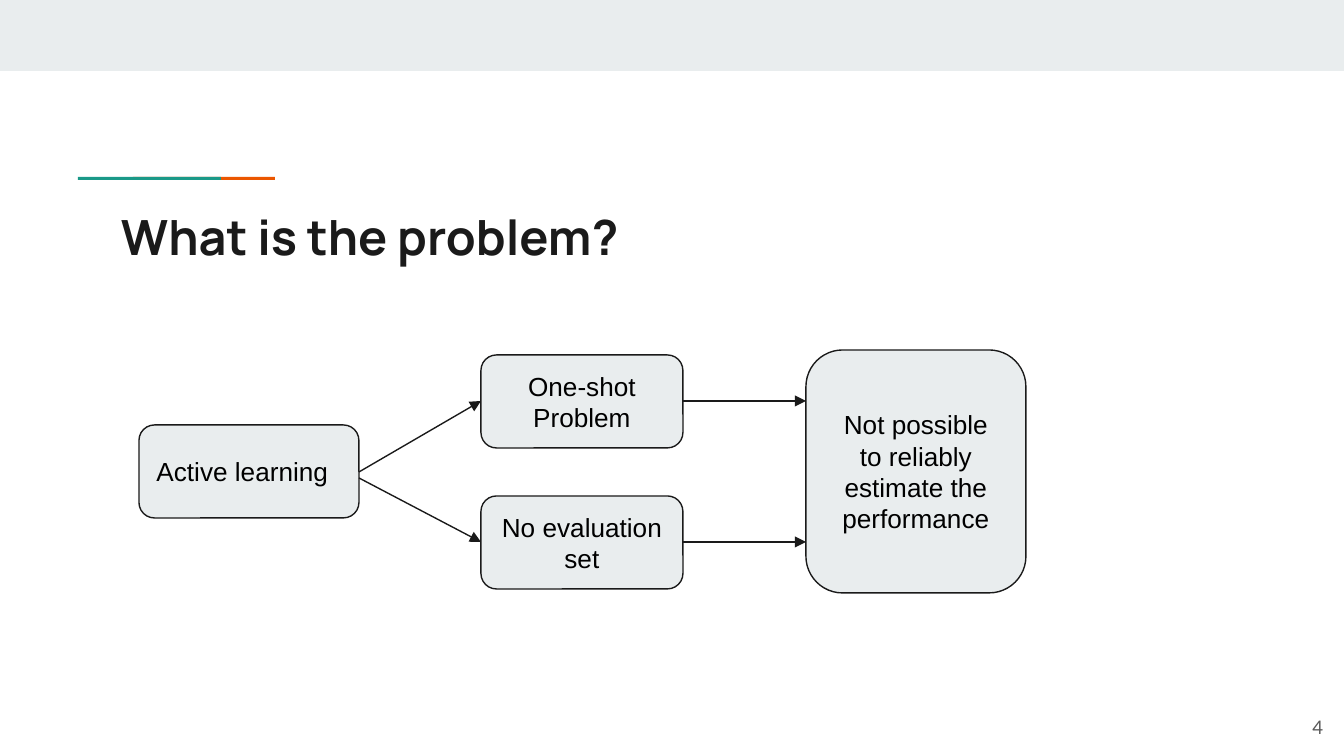
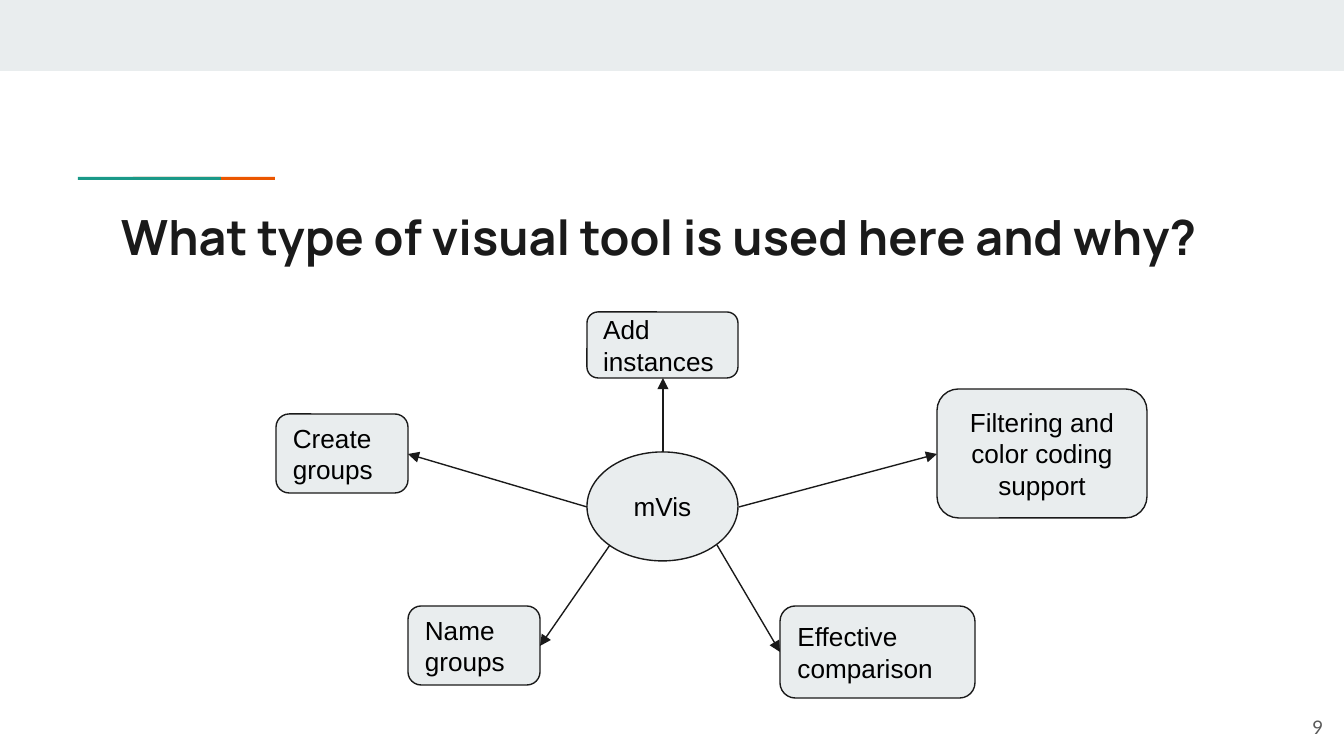
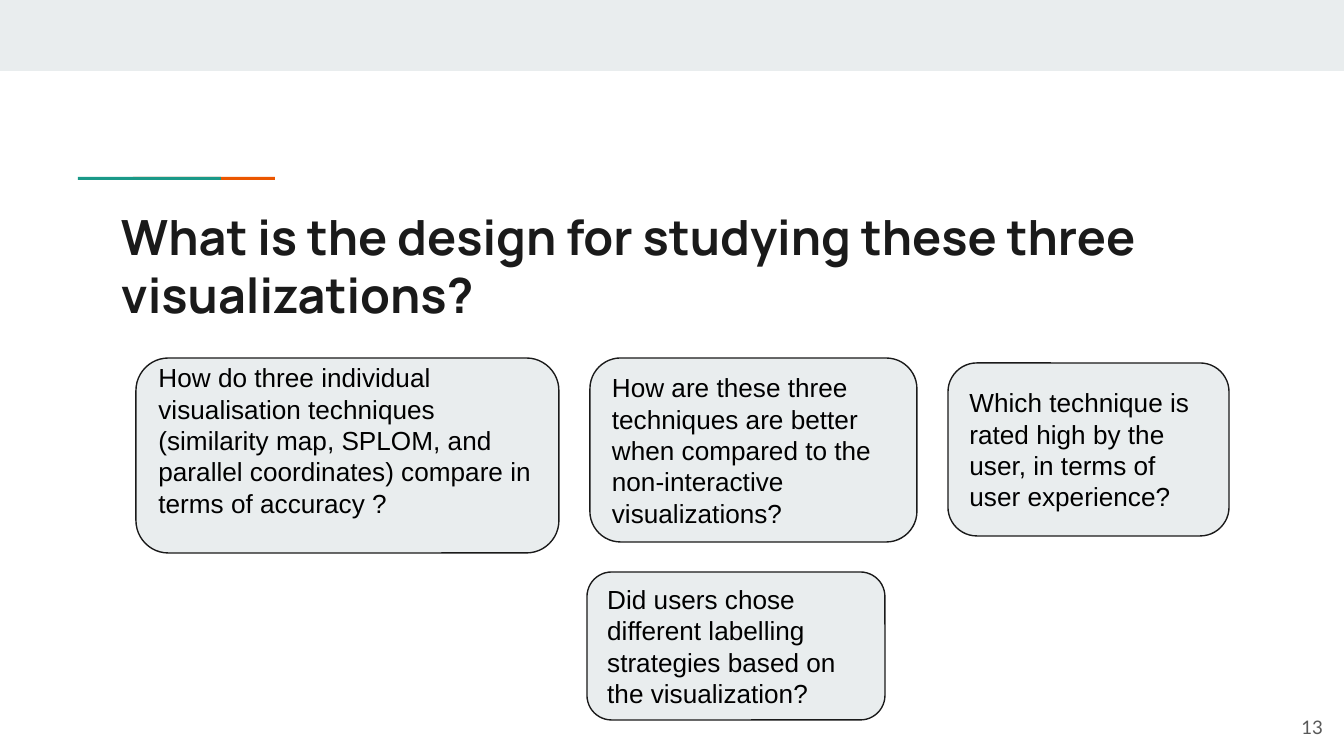
from lxml import etree
from pptx import Presentation
from pptx.dml.color import RGBColor
from pptx.enum import shapes, text
from pptx.oxml import ns
from pptx.util import Pt

PX = 9144000 / 1344
MIST = RGBColor(0xE9, 0xED, 0xEE)
INK = RGBColor(0x1A, 0x1A, 0x1A)
BLACK = RGBColor(0, 0, 0)
GREY = RGBColor(0x59, 0x59, 0x59)
ORANGE = RGBColor(0xEB, 0x56, 0x00)
TEAL = RGBColor(0x1A, 0x99, 0x88)
RECT = shapes.MSO_SHAPE.RECTANGLE
ROUND = shapes.MSO_SHAPE.ROUNDED_RECTANGLE
OVAL = shapes.MSO_SHAPE.OVAL
LEFT, CENTER, RIGHT = text.PP_ALIGN.LEFT, text.PP_ALIGN.CENTER, text.PP_ALIGN.RIGHT
TOP, MIDDLE = text.MSO_ANCHOR.TOP, text.MSO_ANCHOR.MIDDLE
INSET = 13
BLANK_LINE = 31

SLIDES = [
    {
        "title": "What is the problem?",
        "number": "4",
        "nodes": [
            (ROUND, (139, 425, 220, 93), LEFT, "Active learning"),
            (ROUND, (481, 355, 202, 93), CENTER, "One-shot Problem"),
            (ROUND, (481, 496, 202, 93), CENTER, "No evaluation set"),
            (ROUND, (806, 350, 220, 243), CENTER,
             "Not possible to reliably estimate the performance"),
        ],
        "arrows": [
            (359, 472, 481, 401), (359, 478, 481, 542),
            (683, 401, 806, 401), (683, 542, 806, 542),
        ],
    },
    {
        "title": "What type of visual tool is used here and why?",
        "number": "9",
        "nodes": [
            (OVAL, (587, 452, 151, 109), CENTER, "mVis"),
            (ROUND, (276, 414, 132, 79), LEFT, "Create groups"),
            (ROUND, (408, 606, 132, 79), LEFT, "Name groups"),
            (ROUND, (587, 312, 151, 66), LEFT, "Add instances"),
            (ROUND, (937, 389, 210, 129), CENTER, "Filtering and color coding support"),
            (ROUND, (780, 606, 195, 92), LEFT, "Effective comparison"),
        ],
        "arrows": [
            (663, 452, 663, 378), (739, 507, 937, 454), (587, 507, 408, 454),
            (610, 545, 540, 646), (717, 545, 780, 652),
        ],
    },
    {
        "title": "What is the design for studying these three visualizations?",
        "number": "13",
        "nodes": [
            (ROUND, (136, 358, 423, 195), LEFT,
             "How do three individual visualisation techniques (similarity map, SPLOM, "
             "and parallel coordinates) compare in terms of accuracy ?"),
            (ROUND, (590, 358, 327, 184), LEFT,
             "How are these three techniques are better when compared to the "
             "non-interactive visualizations?"),
            (ROUND, (948, 363, 281, 173), LEFT,
             "Which technique is rated high by the user, in terms of user experience?"),
            (ROUND, (587, 572, 298, 148), LEFT,
             "Did users chose different labelling strategies based on the visualization?"),
        ],
        "arrows": [],
    },
]


def add_panel(page, kind, area, fill, line=None):
    panel = page.shapes.add_shape(kind, *(round(n * PX) for n in area))
    panel.shadow.inherit = False
    panel.fill.solid()
    panel.fill.fore_color.rgb = fill
    if line is None:
        panel.line.fill.background()
    else:
        panel.line.color.rgb = line
        panel.line.width = Pt(0.75)
    return panel


def write(box, words, font, size, color, align, anchor, bold=False):
    frame = box.text_frame
    frame.word_wrap = True
    frame.vertical_anchor = anchor
    frame.margin_left = frame.margin_right = round(INSET * PX)
    frame.margin_top = frame.margin_bottom = round(INSET * PX)
    para = frame.paragraphs[0]
    para.alignment = align
    span = para.add_run()
    span.text = words
    span.font.name = font
    span.font.size = Pt(size)
    span.font.bold = bold
    span.font.color.rgb = color


deck = Presentation()
deck.slide_width = round(1344 * PX)
deck.slide_height = round(756 * PX)

for content in SLIDES:
    page = deck.slides.add_slide(deck.slide_layouts[6])
    add_panel(page, RECT, (0, 0, 1344, 71), MIST)
    add_panel(page, RECT, (133, 177, 142, 3), ORANGE)
    add_panel(page, RECT, (78, 177, 143, 3), TEAL)

    title = page.shapes.add_textbox(*(round(n * PX) for n in (108, 194, 1130, 79)))
    write(title, content["title"], "Manrope", 26, INK, LEFT, TOP, True)

    for kind, area, align, words in content["nodes"]:
        node = add_panel(page, kind, area, MIST, INK)
        write(node, words, "Arial", 14, BLACK, align, MIDDLE)
        if words.startswith("How do three"):
            node.text_frame.margin_bottom = round((INSET + BLANK_LINE) * PX)

    for ends in content["arrows"]:
        arrow = page.shapes.add_connector(
            shapes.MSO_CONNECTOR.STRAIGHT, *(round(n * PX) for n in ends))
        arrow.line.color.rgb = INK
        arrow.line.width = Pt(0.75)
        outline = arrow.line._get_or_add_ln()
        etree.SubElement(outline, ns.qn("a:tailEnd"), type="triangle")
        etree.SubElement(arrow._element.spPr, ns.qn("a:effectLst"))

    number = page.shapes.add_textbox(*(round(n * PX) for n in (1255, 698, 81, 58)))
    write(number, content["number"], "Lato", 10, GREY, RIGHT, MIDDLE)

deck.save("out.pptx")
